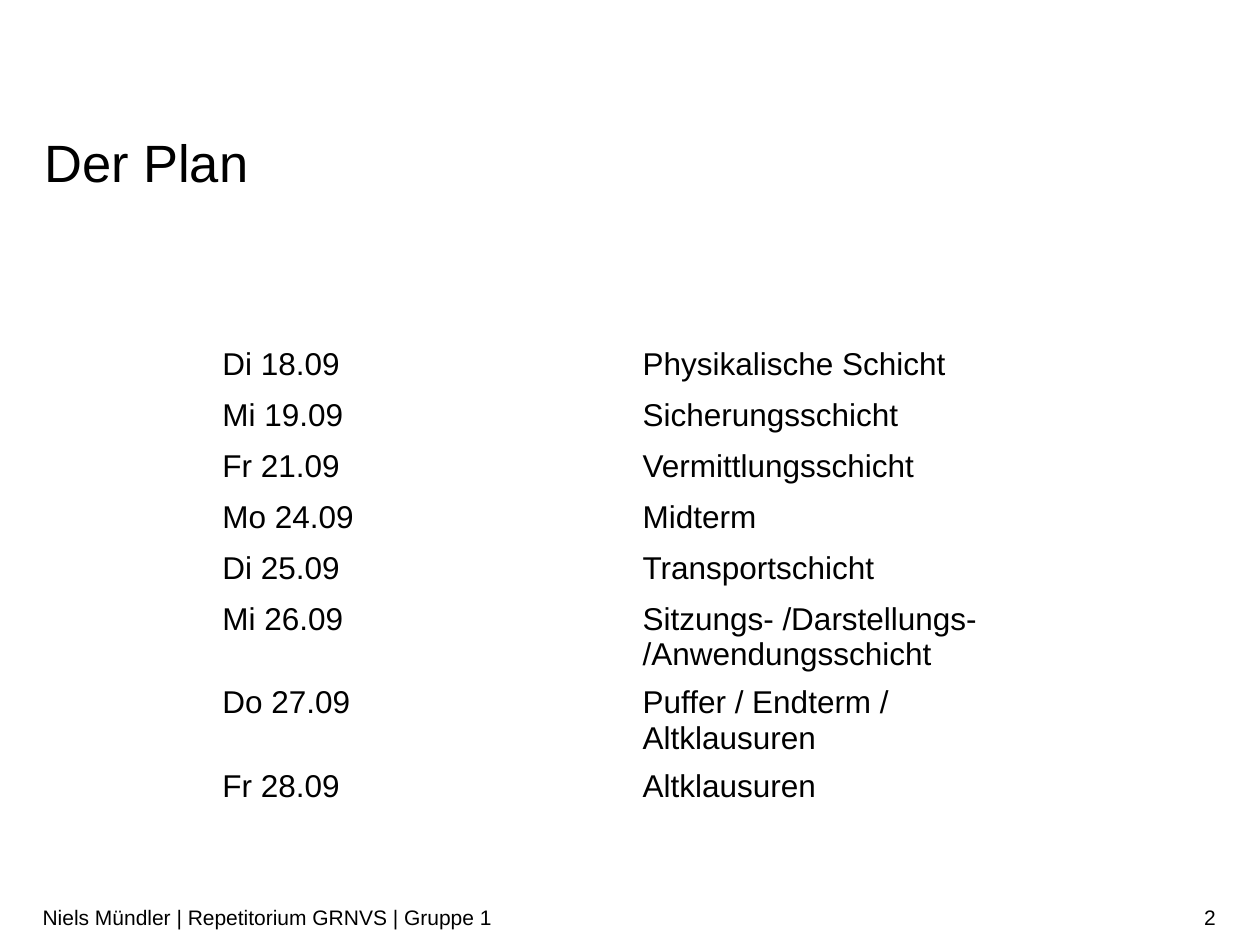
"""Build the schedule slide of the revision course."""
from dataclasses import dataclass

from pptx import Presentation
from pptx.dml.color import RGBColor
from pptx.enum.text import MSO_ANCHOR, PP_ALIGN
from pptx.util import Cm, Pt

LEFT, RIGHT = PP_ALIGN.LEFT, PP_ALIGN.RIGHT
TOP, MIDDLE = MSO_ANCHOR.TOP, MSO_ANCHOR.MIDDLE
TITLE_ONLY = 5
FONT = "Arial"
COLORS = {"text": "000000"}


@dataclass(frozen=True)
class Session:
    date: str
    topic: str


@dataclass(frozen=True)
class FooterPart:
    text: str
    left: float
    width: float
    align: PP_ALIGN


SESSIONS = [
    Session("Di 18.09", "Physikalische Schicht"),
    Session("Mi 19.09", "Sicherungsschicht"),
    Session("Fr 21.09", "Vermittlungsschicht"),
    Session("Mo 24.09", "Midterm"),
    Session("Di 25.09", "Transportschicht"),
    Session("Mi 26.09", "Sitzungs- /Darstellungs- /Anwendungsschicht"),
    Session("Do 27.09", "Puffer / Endterm / Altklausuren"),
    Session("Fr 28.09", "Altklausuren"),
]
FOOTER = [
    FooterPart("Niels Mündler | Repetitorium GRNVS | Gruppe 1", 0.86, 17.96, LEFT),
    FooterPart("2", 18.82, 5.69, RIGHT),
]


def write(frame, text: str, size: float, align: PP_ALIGN = LEFT):
    """Set the text of a frame and return its formatted paragraph."""
    frame.text = text
    paragraph = frame.paragraphs[0]
    paragraph.alignment = align
    paragraph.font.name = FONT
    paragraph.font.size = Pt(size)
    paragraph.font.color.rgb = RGBColor.from_string(COLORS["text"])
    return paragraph


def set_frame(frame, anchor: MSO_ANCHOR, vertical_inset: float) -> None:
    """Wrap a frame and set its anchor and insets."""
    frame.word_wrap = True
    frame.vertical_anchor = anchor
    frame.margin_left = frame.margin_right = 0
    frame.margin_top = frame.margin_bottom = Cm(vertical_inset)


def add_heading(slide, text: str) -> None:
    """Place the heading in the title placeholder."""
    heading = slide.shapes.title
    heading.left, heading.top = Cm(0.89), Cm(2.77)
    heading.width, heading.height = Cm(23.65), Cm(1.14)
    set_frame(heading.text_frame, TOP, 0)
    write(heading.text_frame, text, 30).line_spacing = Pt(32)


def add_schedule(slide, sessions: list[Session]) -> None:
    """Add the table of dates and topics."""
    row_height = Cm(1.03)
    schedule = slide.shapes.add_table(
        len(sessions), 2, Cm(4.23), Cm(6.86), Cm(16.94), row_height * len(sessions)
    ).table
    schedule.first_row = schedule.horz_banding = False
    for row, session in zip(schedule.rows, sessions):
        row.height = row_height
        for cell, text in zip(row.cells, (session.date, session.topic)):
            cell.fill.background()
            write(cell.text_frame, text, 18)


def add_footer_part(slide, part: FooterPart) -> None:
    """Add one text of the footer line."""
    footer = slide.shapes.add_textbox(Cm(part.left), Cm(17.98), Cm(part.width), Cm(1.02))
    set_frame(footer.text_frame, MIDDLE, 0.13)
    write(footer.text_frame, part.text, 12, part.align)


def main() -> None:
    """Build and save the slide."""
    deck = Presentation()
    deck.slide_width, deck.slide_height = Cm(25.4), Cm(19.05)
    slide = deck.slides.add_slide(deck.slide_layouts[TITLE_ONLY])
    add_heading(slide, "Der Plan")
    add_schedule(slide, SESSIONS)
    for part in FOOTER:
        add_footer_part(slide, part)
    deck.save("out.pptx")


main()
